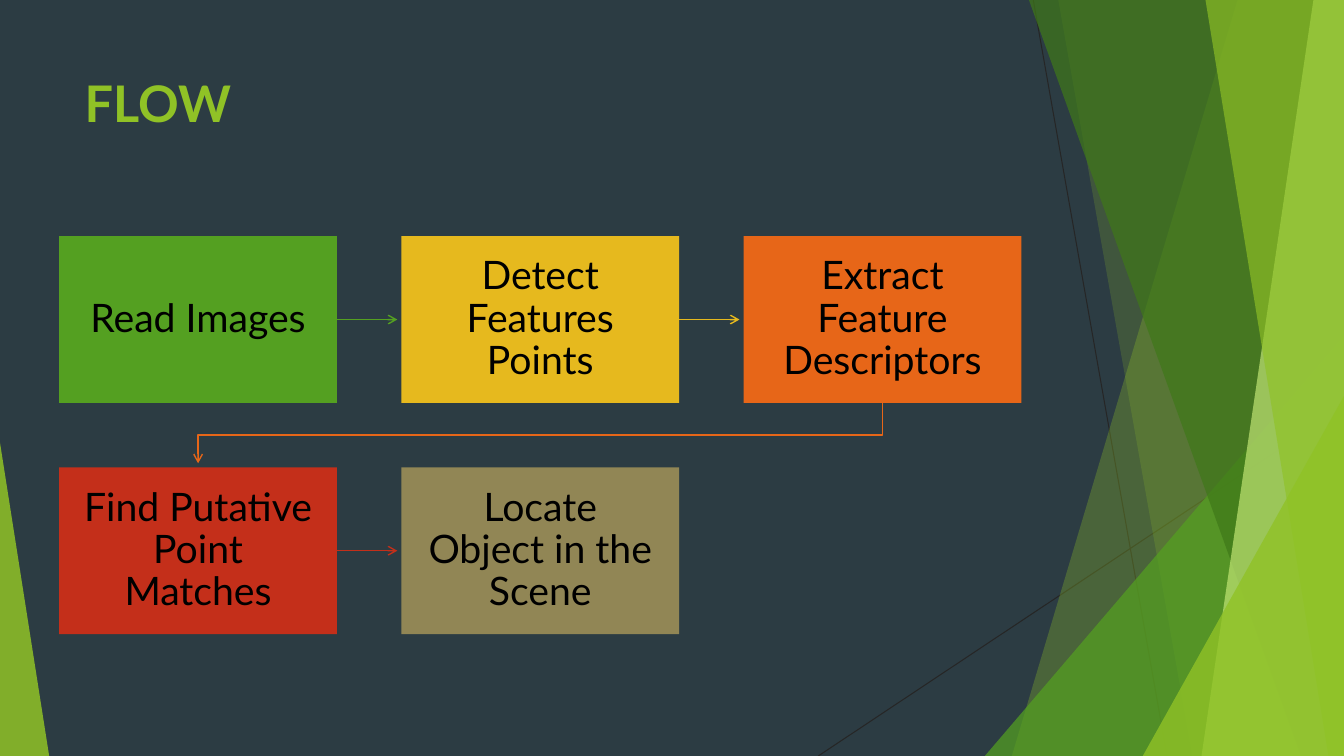
from dataclasses import dataclass

from pptx import Presentation
from pptx.dml.color import RGBColor
from pptx.enum.shapes import MSO_CONNECTOR as Connector, MSO_SHAPE as Preset
from pptx.enum.text import MSO_ANCHOR as Anchor, MSO_AUTO_SIZE as AutoSize, PP_ALIGN as Align
from pptx.oxml.xmlchemy import OxmlElement
from pptx.util import Cm, Pt


@dataclass(frozen=True)
class Theme:
    font: str = "Lato"
    title_size: int = 36
    step_size: int = 28
    background: str = "2C3C43"
    hairline: str = "262626"
    text: str = "000000"
    lime: str = "90C226"
    green: str = "54A021"
    forest: str = "3F7819"
    pale: str = "C0E474"
    yellow: str = "E6B91E"
    orange: str = "E76618"
    red: str = "C42F1A"
    khaki: str = "918655"


@dataclass(frozen=True)
class Box:
    left: float
    top: float
    width: float
    height: float

    @property
    def right(self):
        return self.left + self.width

    @property
    def bottom(self):
        return self.top + self.height

    @property
    def middle(self):
        return self.top + self.height / 2

    @property
    def center(self):
        return self.left + self.width / 2

    def lengths(self):
        return Cm(self.left), Cm(self.top), Cm(self.width), Cm(self.height)


THEME = Theme()
PAGE = Box(0, 0, 33.87, 19.05)
STEPS = [
    ("Read Images", THEME.green),
    ("Detect Features Points", THEME.yellow),
    ("Extract Feature Descriptors", THEME.orange),
    ("Find Putative Point Matches", THEME.red),
    ("Locate Object in the Scene", THEME.khaki),
]


def color(value):
    return RGBColor.from_string(value)


def paint(shape, fill, opacity=100):
    shape.shadow.inherit = False
    shape.line.fill.background()
    shape.fill.solid()
    shape.fill.fore_color.rgb = color(fill)
    if opacity < 100:
        alpha = OxmlElement("a:alpha")
        alpha.set("val", str(opacity * 1000))
        shape.fill._xPr.solidFill[0].append(alpha)


def stroke(shape, line_color, width, arrow=False):
    shape.line.color.rgb = color(line_color)
    shape.line.width = Pt(width)
    if arrow:
        tail = OxmlElement("a:tailEnd")
        tail.set("type", "arrow")
        shape.line._get_or_add_ln().append(tail)


def add_line(slide, start, end, line_color, width, arrow=False):
    points = [Cm(value) for value in (*start, *end)]
    connector = slide.shapes.add_connector(Connector.STRAIGHT, *points)
    stroke(connector, line_color, width, arrow)
    connector._element.spPr.append(OxmlElement("a:effectLst"))


def add_outline(slide, points, close):
    start, *others = [(Cm(x), Cm(y)) for x, y in points]
    builder = slide.shapes.build_freeform(*start)
    builder.add_line_segments(others, close=close)
    return builder.convert_to_shape()


def add_text(paragraph, text, size, text_color, bold=False):
    run = paragraph.add_run()
    run.text = text
    run.font.name = THEME.font
    run.font.size = Pt(size)
    run.font.bold = bold
    run.font.color.rgb = color(text_color)


def add_facets(slide, box):
    def band(top_x, bottom_x, fill, opacity):
        corners = [
            (box.left + top_x, box.top),
            (box.right, box.top),
            (box.right, box.bottom),
            (box.left + bottom_x, box.bottom),
        ]
        paint(add_outline(slide, corners, True), fill, opacity)

    def wedge(start_x, end_x, top_y, apex, fill, opacity):
        area = Box(box.left + start_x, box.top + top_y, end_x - start_x, box.height - top_y)
        shape = slide.shapes.add_shape(Preset.ISOSCELES_TRIANGLE, *area.lengths())
        shape.adjustments[0] = apex
        paint(shape, fill, opacity)

    add_line(slide, (box.left + 26.04, box.top), (box.left + 29.41, box.bottom), THEME.hairline, 0.75)
    add_line(slide, (box.right, box.top + 10.24), (box.left + 20.62, box.bottom), THEME.hairline, 0.75)
    band(31.19, 25.5, THEME.lime, 30)
    band(26.67, 30.05, THEME.lime, 20)
    wedge(24.82, box.width, 8.46, 1, THEME.green, 72)
    band(25.93, 32.79, THEME.forest, 70)
    band(33.1, 30.28, THEME.pale, 70)
    band(30.38, 33.48, THEME.lime, 65)
    wedge(28.8, box.width, 9.98, 1, THEME.lime, 80)
    wedge(0, 1.24, 11.15, 0, THEME.lime, 85)


def add_title(slide, box, text):
    title = slide.shapes.title
    title.left, title.top, title.width, title.height = box.lengths()
    frame = title.text_frame
    frame.auto_size = AutoSize.NONE
    frame.vertical_anchor = Anchor.TOP
    paragraph = frame.paragraphs[0]
    paragraph.alignment = Align.LEFT
    add_text(paragraph, text, THEME.title_size, THEME.lime, bold=True)


def add_step(slide, box, text, fill):
    shape = slide.shapes.add_shape(Preset.RECTANGLE, *box.lengths())
    paint(shape, fill)
    frame = shape.text_frame
    frame.word_wrap = True
    frame.vertical_anchor = Anchor.MIDDLE
    frame.margin_left = frame.margin_right = Cm(0.55)
    frame.margin_top = frame.margin_bottom = Cm(0.55)
    paragraph = frame.paragraphs[0]
    paragraph.alignment = Align.CENTER
    paragraph.line_spacing = 0.9
    add_text(paragraph, text, THEME.step_size, THEME.text)


def add_arrow(slide, source, target, line_color):
    clearance = 0.1
    if source.top == target.top:
        end = (target.left - clearance, target.middle)
        add_line(slide, (source.right, source.middle), end, line_color, 1, arrow=True)
        return
    turn = (source.bottom + target.top) / 2
    bend = add_outline(slide, [
        (source.center, source.bottom),
        (source.center, turn),
        (target.center, turn),
        (target.center, target.top - clearance),
    ], False)
    bend.shadow.inherit = False
    bend.fill.background()
    stroke(bend, line_color, 1, arrow=True)


def add_flow(slide, box, steps, columns=3, gap=1.62):
    rows = -(-len(steps) // columns)
    width = (box.width - gap * (columns - 1)) / columns
    height = (box.height - gap * (rows - 1)) / rows
    cells = []
    for index in range(len(steps)):
        row, column = divmod(index, columns)
        left = box.left + column * (width + gap)
        cells.append(Box(left, box.top + row * (height + gap), width, height))
    for source, target, (_, fill) in zip(cells, cells[1:], steps):
        add_arrow(slide, source, target, fill)
    for cell, (text, fill) in zip(cells, steps):
        add_step(slide, cell, text, fill)


def main():
    presentation = Presentation()
    presentation.slide_width = Cm(PAGE.width)
    presentation.slide_height = Cm(PAGE.height)
    slide = presentation.slides.add_slide(presentation.slide_layouts[5])
    slide.background.fill.solid()
    slide.background.fill.fore_color.rgb = color(THEME.background)
    add_facets(slide, PAGE)
    add_title(slide, Box(1.88, 1.7, 23.88, 2.06), "FLOW")
    add_flow(slide, Box(1.49, 5.95, 24.25, 10.03), STEPS)
    presentation.save("out.pptx")


if __name__ == "__main__":
    main()
